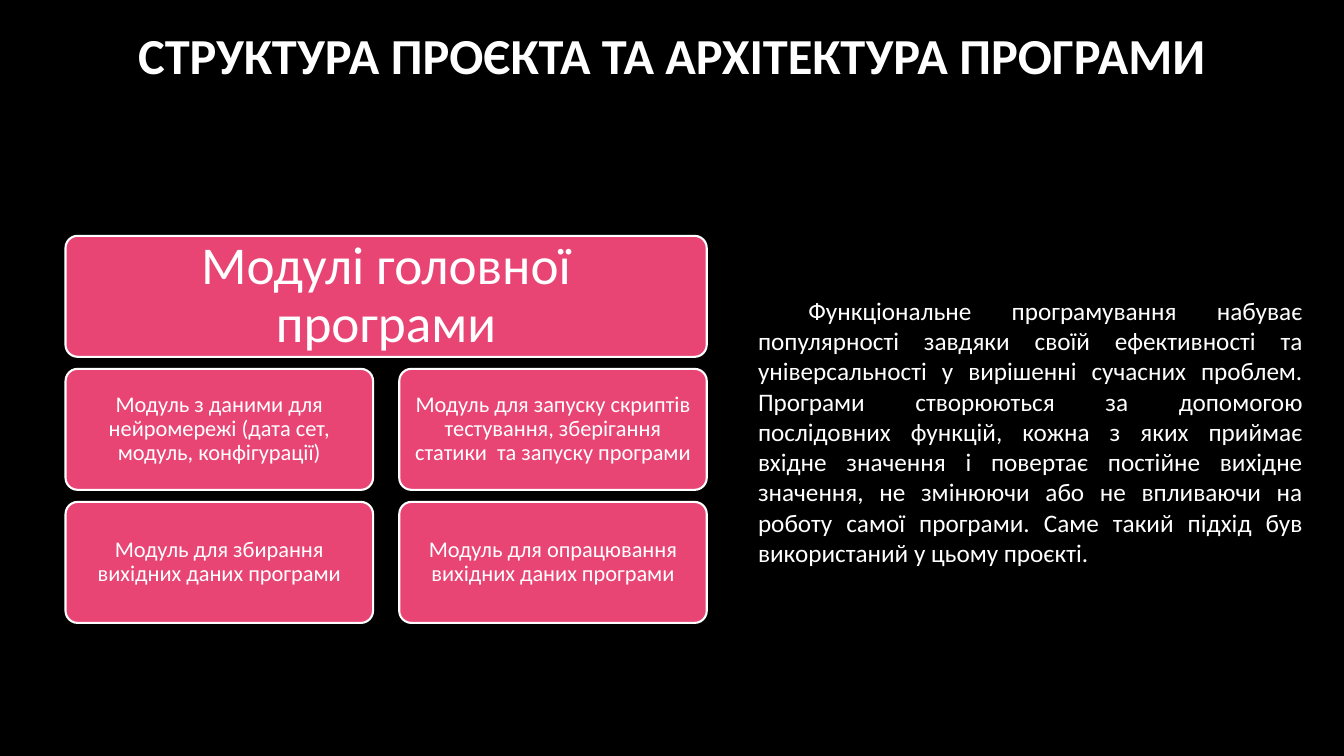
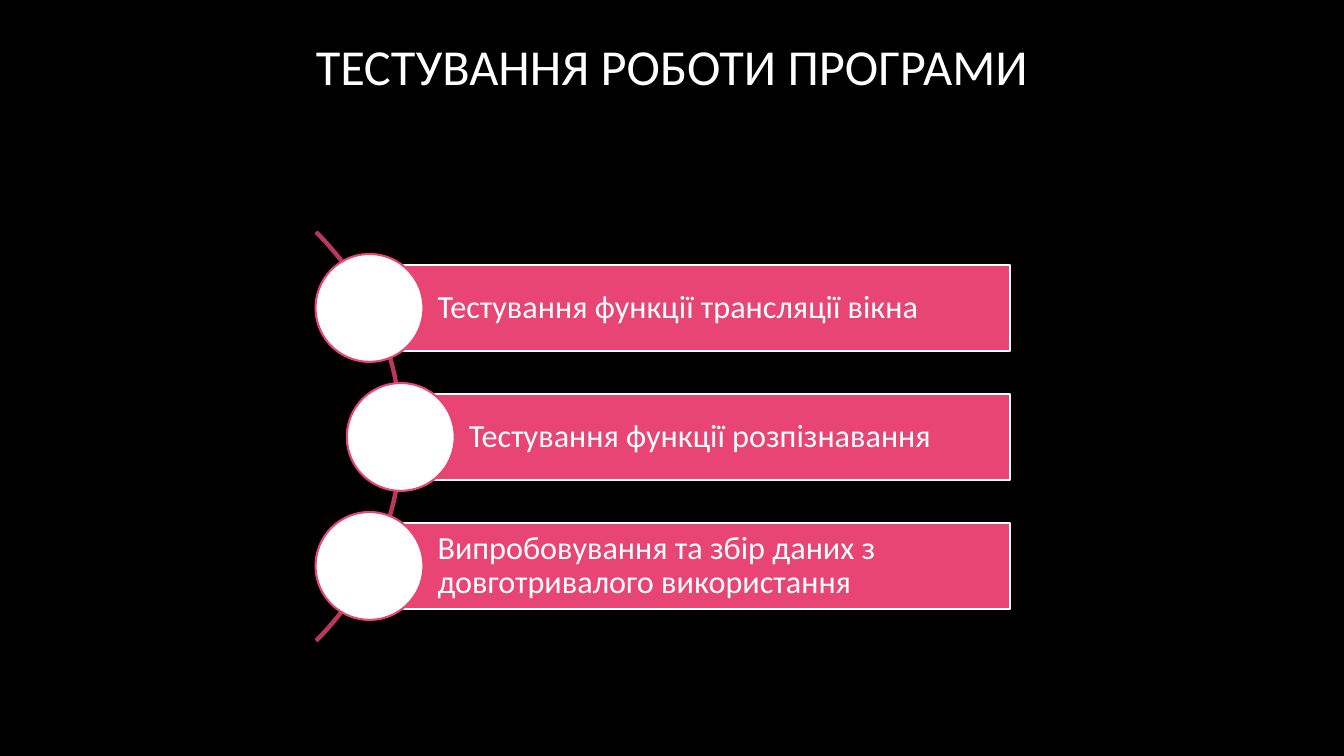
from dataclasses import dataclass

from pptx import Presentation
from pptx.dml.color import RGBColor
from pptx.enum.shapes import MSO_AUTO_SHAPE_TYPE as Preset
from pptx.enum.text import MSO_ANCHOR as Anchor, MSO_AUTO_SIZE as AutoSize, PP_ALIGN as Align
from pptx.shapes.autoshape import Shape
from pptx.slide import Slide
from pptx.text.text import TextFrame
from pptx.util import Emu, Pt

EMU_PER_PX = 9144
SLIDE_WIDTH, SLIDE_HEIGHT = 1333, 750
TITLE_ONLY = 5


@dataclass(frozen=True)
class Theme:
    background: RGBColor = RGBColor(0x00, 0x00, 0x00)
    light: RGBColor = RGBColor(0xFF, 0xFF, 0xFF)
    accent: RGBColor = RGBColor(0xE8, 0x45, 0x74)
    accent_dark: RGBColor = RGBColor(0xBA, 0x37, 0x5D)
    font: str = "Calibri"
    title_size: int = 36
    heading_size: int = 38
    step_size: int = 23
    body_size: int = 18
    module_size: int = 16
    outline: float = 1.5


THEME = Theme()


@dataclass(frozen=True)
class Box:
    left: int
    top: int
    width: int
    height: int

    def emu(self) -> tuple[Emu, Emu, Emu, Emu]:
        return px(self.left), px(self.top), px(self.width), px(self.height)


@dataclass(frozen=True)
class Module:
    text: str
    row: int
    column: int


@dataclass(frozen=True)
class Step:
    text: str
    left: int


MODULES = (
    Module("Модуль з даними для нейромережі (дата сет, модуль, конфігурації)", 1, 0),
    Module("Модуль для збирання вихідних даних програми", 2, 0),
    Module("Модуль для запуску скриптів тестування, зберігання статики  та запуску програми", 1, 1),
    Module("Модуль для опрацювання вихідних даних програми", 2, 1),
)
STEPS = (
    Step("Тестування функції трансляції вікна", 366),
    Step("Тестування функції розпізнавання", 397),
    Step("Випробовування та збір даних з довготривалого використання", 366),
)
APPROACH = (
    "Функціональне програмування набуває популярності завдяки своїй ефективності "
    "та универсальності у вирішенні сучасних проблем. Програми створюються "
    "за допомогою послідовних функцій, кожна з яких приймає вхідне значення "
    "і повертає постійне вихідне значення, не змінюючи або не впливаючи "
    "на роботу самої програми. Саме такий підхід був використаний у цьому проєкті."
).replace("универсальності", "універсальності")


def px(length: int) -> Emu:
    return Emu(length * EMU_PER_PX)


def write(frame: TextFrame, text: str, *, size: int, bold: bool = False,
          align: Align = Align.CENTER, anchor: Anchor = Anchor.MIDDLE,
          margins: tuple[int, int, int, int] = (10, 5, 10, 5),
          line_spacing: float = 1.0, indent: int = 0) -> None:
    """Fill a frame with one paragraph; margins run left, top, right, bottom."""
    frame.word_wrap = True
    frame.auto_size = AutoSize.NONE
    frame.vertical_anchor = anchor
    (frame.margin_left, frame.margin_top,
     frame.margin_right, frame.margin_bottom) = map(px, margins)
    paragraph = frame.paragraphs[0]
    paragraph.alignment = align
    paragraph.line_spacing = line_spacing
    if indent:
        paragraph._p.get_or_add_pPr().set("indent", str(px(indent)))
    run = paragraph.add_run()
    run.text = text
    run.font.name = THEME.font
    run.font.size = Pt(size)
    run.font.bold = bold
    run.font.color.rgb = THEME.light


def add_preset(slide: Slide, preset: Preset, box: Box, *,
               fill: RGBColor | None, line: RGBColor) -> Shape:
    shape = slide.shapes.add_shape(preset, *box.emu())
    shape.shadow.inherit = False
    if fill is None:
        shape.fill.background()
    else:
        shape.fill.solid()
        shape.fill.fore_color.rgb = fill
    shape.line.color.rgb = line
    shape.line.width = Pt(THEME.outline)
    return shape


def add_titled_slide(deck: Presentation, text: str, *, height: int, bold: bool) -> Slide:
    slide = deck.slides.add_slide(deck.slide_layouts[TITLE_ONLY])
    title = slide.shapes.title
    title.left, title.top, title.width, title.height = Box(0, 0, SLIDE_WIDTH, height).emu()
    write(title.text_frame, text, size=THEME.title_size, bold=bold)
    return slide


def add_card(slide: Slide, box: Box, text: str, *, size: int, margin: int) -> None:
    card = add_preset(slide, Preset.ROUNDED_RECTANGLE, box, fill=THEME.accent, line=THEME.light)
    card.adjustments[0] = 0.1
    write(card.text_frame, text, size=size, margins=(margin,) * 4, line_spacing=0.9)


def add_step(slide: Slide, step: Step, top: int) -> None:
    """Draw a bar with a circle centred on its left edge."""
    right, height, diameter = 1002, 85, 107
    bar = add_preset(slide, Preset.RECTANGLE, Box(step.left, top, right - step.left, height),
                     fill=THEME.accent, line=THEME.light)
    write(bar.text_frame, step.text, size=THEME.step_size, align=Align.LEFT,
          margins=(68, 6, 6, 6), line_spacing=0.9)
    circle = Box(step.left - diameter // 2, top - (diameter - height) // 2, diameter, diameter)
    add_preset(slide, Preset.OVAL, circle, fill=THEME.light, line=THEME.accent)


def build_structure(deck: Presentation) -> None:
    slide = add_titled_slide(deck, "СТРУКТУРА ПРОЄКТА ТА АРХІТЕКТУРА ПРОГРАМИ",
                             height=108, bold=True)
    left, top, width, height = 65, 234, 305, 120
    column_gap, row_gap = 26, 12
    add_card(slide, Box(left, top, 2 * width + column_gap, height),
             "Модулі головної програми", size=THEME.heading_size, margin=16)
    for module in MODULES:
        box = Box(left + module.column * (width + column_gap),
                  top + module.row * (height + row_gap), width, height)
        add_card(slide, box, module.text, size=THEME.module_size, margin=7)
    approach = slide.shapes.add_textbox(*Box(742, 288, 560, 283).emu())
    write(approach.text_frame, APPROACH, size=THEME.body_size, align=Align.JUSTIFY,
          anchor=Anchor.TOP, indent=50)


def build_testing(deck: Presentation) -> None:
    slide = add_titled_slide(deck, "ТЕСТУВАННЯ РОБОТИ ПРОГРАМИ", height=129, bold=False)
    arc = add_preset(slide, Preset.BLOCK_ARC, Box(-175, 146, 574, 574),
                     fill=None, line=THEME.accent_dark)
    for index, value in enumerate((189, 27, 0.004)):
        arc.adjustments[index] = value
    first_top, pitch = 263, 128
    for index, step in enumerate(STEPS):
        add_step(slide, step, first_top + index * pitch)


def main() -> None:
    deck = Presentation()
    deck.slide_width, deck.slide_height = px(SLIDE_WIDTH), px(SLIDE_HEIGHT)
    backdrop = deck.slide_master.background.fill
    backdrop.solid()
    backdrop.fore_color.rgb = THEME.background
    build_structure(deck)
    build_testing(deck)
    deck.save("out.pptx")


if __name__ == "__main__":
    main()
